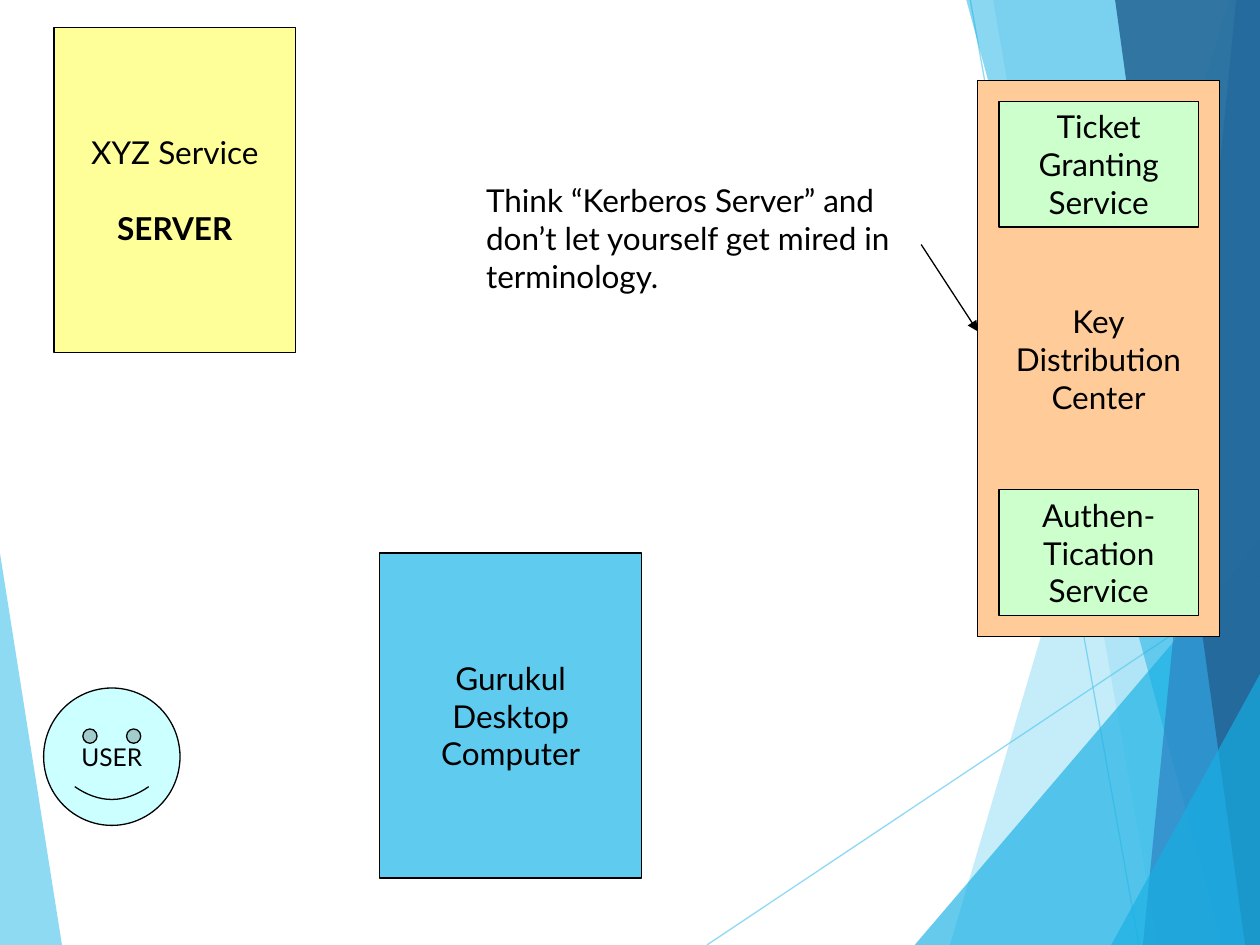
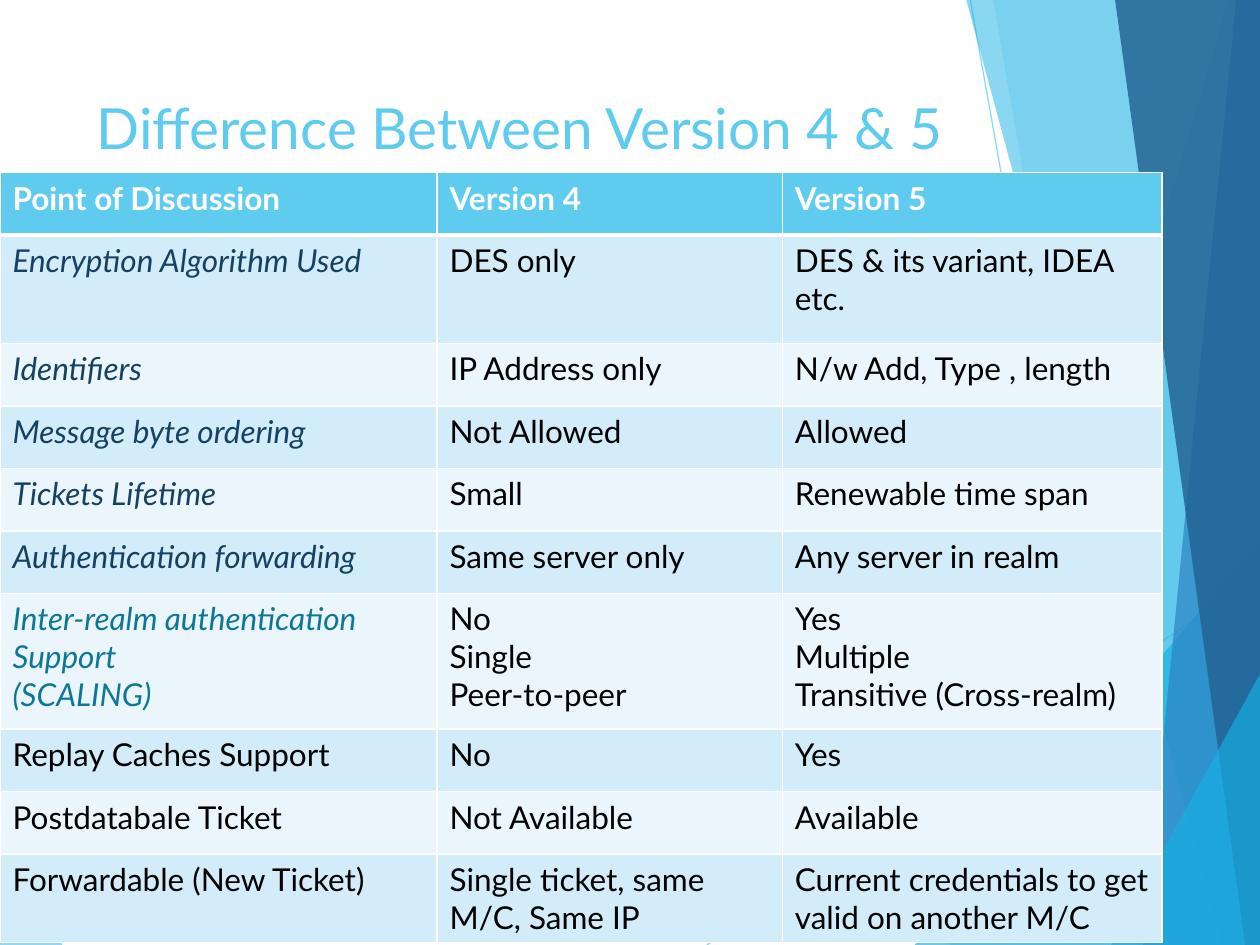
"""Build two slides on Kerberos: its components, and version 4 against version 5."""
import pptx
import pptx.dml.color
import pptx.enum.shapes
import pptx.enum.text
import pptx.oxml
import pptx.oxml.ns
import pptx.oxml.xmlchemy
import pptx.util

Cm = pptx.util.Cm
Pt = pptx.util.Pt
RGBColor = pptx.dml.color.RGBColor
Shape = pptx.enum.shapes.MSO_SHAPE
Align = pptx.enum.text.PP_ALIGN
Anchor = pptx.enum.text.MSO_ANCHOR
OxmlElement = pptx.oxml.xmlchemy.OxmlElement
qn = pptx.oxml.ns.qn

FONT = "Lato"
BLACK = RGBColor(0x00, 0x00, 0x00)
WHITE = RGBColor(0xFF, 0xFF, 0xFF)
SKY = RGBColor(0x5F, 0xCB, 0xEF)
AZURE = RGBColor(0x17, 0xB0, 0xE4)
BLUE = RGBColor(0x2E, 0x83, 0xC3)
NAVY = RGBColor(0x22, 0x62, 0x92)
ICE = RGBColor(0xCC, 0xFF, 0xFF)
PEACH = RGBColor(0xFF, 0xCC, 0x99)
MINT = RGBColor(0xCC, 0xFF, 0xCC)
LEMON = RGBColor(0xFF, 0xFF, 0x99)
ROW_DARK = RGBColor(0xD2, 0xEC, 0xF9)
ROW_LIGHT = RGBColor(0xEA, 0xF6, 0xFC)
INK_BLUE = RGBColor(0x17, 0x41, 0x62)
TEAL = RGBColor(0x0F, 0x76, 0x98)

WIDTH, HEIGHT = 25.4, 19.05


def write(frame, text, size=18, color=BLACK, bold=False, italic=False, align=Align.LEFT):
    frame.text = text
    for paragraph in frame.paragraphs:
        paragraph.alignment = align
        for run in paragraph.runs:
            run.font.name = FONT
            run.font.size = Pt(size)
            run.font.color.rgb = color
            run.font.bold = bold
            run.font.italic = italic


def draw_line(slide, x1, y1, x2, y2, color):
    line = slide.shapes.add_connector(
        pptx.enum.shapes.MSO_CONNECTOR.STRAIGHT, Cm(x1), Cm(y1), Cm(x2), Cm(y2))
    line.line.color.rgb = color
    line.line.width = Pt(0.75)
    line._element.spPr.append(OxmlElement("a:effectLst"))
    return line


deck = pptx.Presentation()
deck.slide_width = Cm(WIDTH)
deck.slide_height = Cm(HEIGHT)
blank = deck.slide_layouts[6]
components = deck.slides.add_slide(blank)
versions = deck.slides.add_slide(blank)

bottom_right = (WIDTH, HEIGHT)
right_edge = [bottom_right, (WIDTH, 0)]
facets = [
    ([(0, 11.15), (1.25, HEIGHT), (0, HEIGHT)], SKY, 70),
    ([(24.77, 0), (19.15, HEIGHT), *right_edge], SKY, 36),
    ([(20.02, 0), (23.34, HEIGHT), *right_edge], SKY, 20),
    ([(18.44, HEIGHT), (WIDTH, 10.9), bottom_right], AZURE, 66),
    ([(19.48, 0), (24.64, HEIGHT), *right_edge], AZURE, 50),
    ([(24.92, 0), (23.04, HEIGHT), *right_edge], BLUE, 70),
    ([(22.48, 0), (25.1, HEIGHT), *right_edge], NAVY, 82),
    ([(22.4, HEIGHT), (WIDTH, 13.59), bottom_right], AZURE, 66),
]
rays = [(14.25, HEIGHT, WIDTH, 11.61), (19.56, 0, 22.96, HEIGHT)]

for slide in (components, versions):
    backdrop = [(draw_line(slide, *ray, SKY), 70) for ray in rays]
    for corners, color, opacity in facets:
        points = [(Cm(x), Cm(y)) for x, y in corners]
        outline = slide.shapes.build_freeform(*points[0])
        outline.add_line_segments(points[1:], close=True)
        facet = outline.convert_to_shape()
        facet.shadow.inherit = False
        facet.fill.solid()
        facet.fill.fore_color.rgb = color
        facet.line.fill.background()
        backdrop.append((facet, opacity))
    for part, opacity in backdrop:
        for tint in part._element.spPr.iter(qn("a:srgbClr")):
            alpha = OxmlElement("a:alpha")
            alpha.set("val", str(opacity * 1000))
            tint.append(alpha)

parties = [
    (Shape.SMILEY_FACE, 0.88, 13.87, 2.75, 2.77, ICE, 14, "USER"),
    (Shape.RECTANGLE, 19.71, 1.62, 4.87, 11.22, PEACH, 18, "Key\nDistribution\nCenter"),
    (Shape.RECTANGLE, 20.14, 2.04, 4.02, 2.54, MINT, 18, "Ticket\nGranting\nService"),
    (Shape.RECTANGLE, 20.14, 9.87, 4.02, 2.54, MINT, 18, "Authen-\nTication\nService"),
    (Shape.RECTANGLE, 1.09, 0.56, 4.87, 6.55, LEMON, 18, "XYZ Service\nSERVER"),
    (Shape.RECTANGLE, 7.65, 11.15, 5.29, 6.55, SKY, 18, "Gurukul\nDesktop\nComputer"),
]
for outline, left, top, width, height, color, size, label in parties:
    party = components.shapes.add_shape(outline, Cm(left), Cm(top), Cm(width), Cm(height))
    party.shadow.inherit = False
    party.fill.solid()
    party.fill.fore_color.rgb = color
    party.line.color.rgb = BLACK
    party.line.width = Pt(0.75)
    party.text_frame.word_wrap = False
    party.text_frame.vertical_anchor = Anchor.MIDDLE
    write(party.text_frame, label, size, align=Align.CENTER)
    if label.endswith("SERVER"):
        role = party.text_frame.paragraphs[1]
        role.space_before = Pt(21.6)
        role.runs[0].font.bold = True

pointer = draw_line(components, 18.57, 4.93, 19.71, 6.68, BLACK)
arrowhead = OxmlElement("a:tailEnd")
arrowhead.set("type", "triangle")
pointer._element.spPr.find(qn("a:ln")).append(arrowhead)

advice = components.shapes.add_textbox(Cm(9.55), Cm(3.53), Cm(9.73), Cm(2.54)).text_frame
advice.word_wrap = True
write(advice, "Think “Kerberos Server” and don’t let yourself get mired in terminology.")

title = versions.shapes.add_textbox(Cm(1.7), Cm(1.7), Cm(17.63), Cm(1.7)).text_frame
title.word_wrap = True
title.vertical_anchor = Anchor.MIDDLE
write(title, "Difference Between Version 4 & 5", 32.4, SKY)

comparison = [
    ("Point of Discussion", "Version 4", "Version 5"),
    ("Encryption Algorithm Used", "DES only", "DES & its variant, IDEA etc."),
    ("Identifiers", "IP Address only", "N/w Add, Type , length"),
    ("Message byte ordering", "Not Allowed", "Allowed"),
    ("Tickets Lifetime", "Small", "Renewable time span"),
    ("Authentication forwarding", "Same server only", "Any server in realm"),
    ("Inter-realm authentication\nSupport\n(SCALING)", "No\nSingle\nPeer-to-peer",
     "Yes\nMultiple\nTransitive (Cross-realm)"),
    ("Replay Caches Support", "No", "Yes"),
    ("Postdatabale Ticket", "Not Available", "Available"),
    ("Forwardable (New Ticket)", "Single ticket, same M/C, Same IP",
     "Current credentials to get valid on another M/C"),
]
column_widths = [8.81, 6.96, 7.65]
row_heights = [1.26] * len(comparison)
row_heights[1], row_heights[6], row_heights[9] = 2.18, 2.74, 1.78
scaling_row = 6

table = versions.shapes.add_table(
    len(comparison), len(column_widths), Cm(0), Cm(3.48),
    Cm(sum(column_widths)), Cm(sum(row_heights))).table
for column, width in zip(table.columns, column_widths):
    column.width = Cm(width)
for r, (row, height, texts) in enumerate(zip(table.rows, row_heights, comparison)):
    row.height = Cm(height)
    for c, (cell, text) in enumerate(zip(row.cells, texts)):
        header = r == 0
        topic = c == 0 and 0 < r <= scaling_row
        color = WHITE if header else BLACK
        if topic:
            color = TEAL if r == scaling_row else INK_BLUE
        write(cell.text_frame, text, color=color, bold=header, italic=topic)
        cell.fill.solid()
        cell.fill.fore_color.rgb = SKY if header else ROW_DARK if r % 2 else ROW_LIGHT
        properties = cell._tc.get_or_add_tcPr()
        for position, side in enumerate(("lnL", "lnR", "lnT", "lnB")):
            thick = (header and side == "lnB") or (r == 1 and side == "lnT")
            border = pptx.oxml.parse_xml(
                f'<a:{side} {pptx.oxml.ns.nsdecls("a")} w="{Pt(3 if thick else 1)}">'
                f'<a:solidFill><a:srgbClr val="{WHITE}"/></a:solidFill></a:{side}>')
            properties.insert(position, border)

deck.save("out.pptx")
